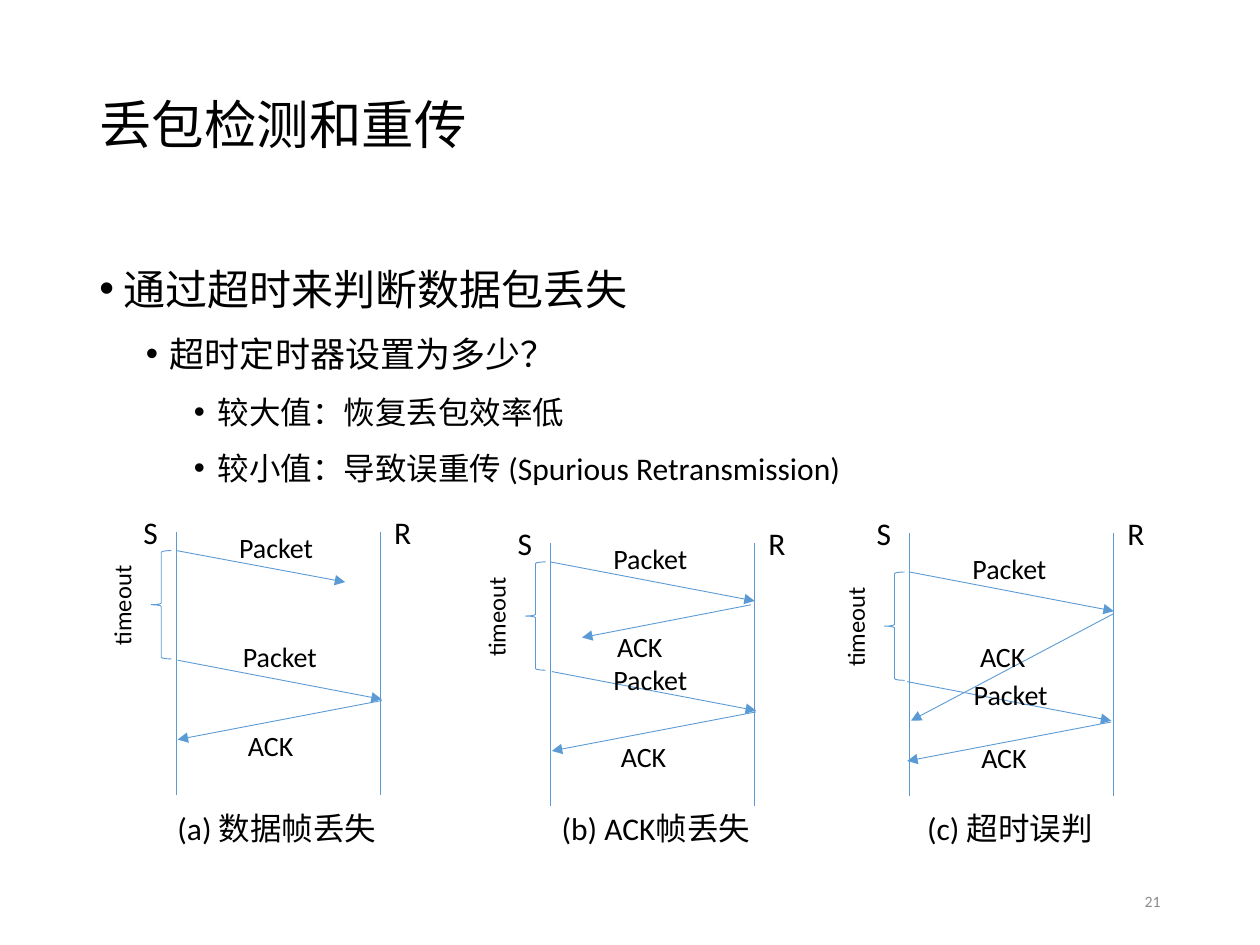
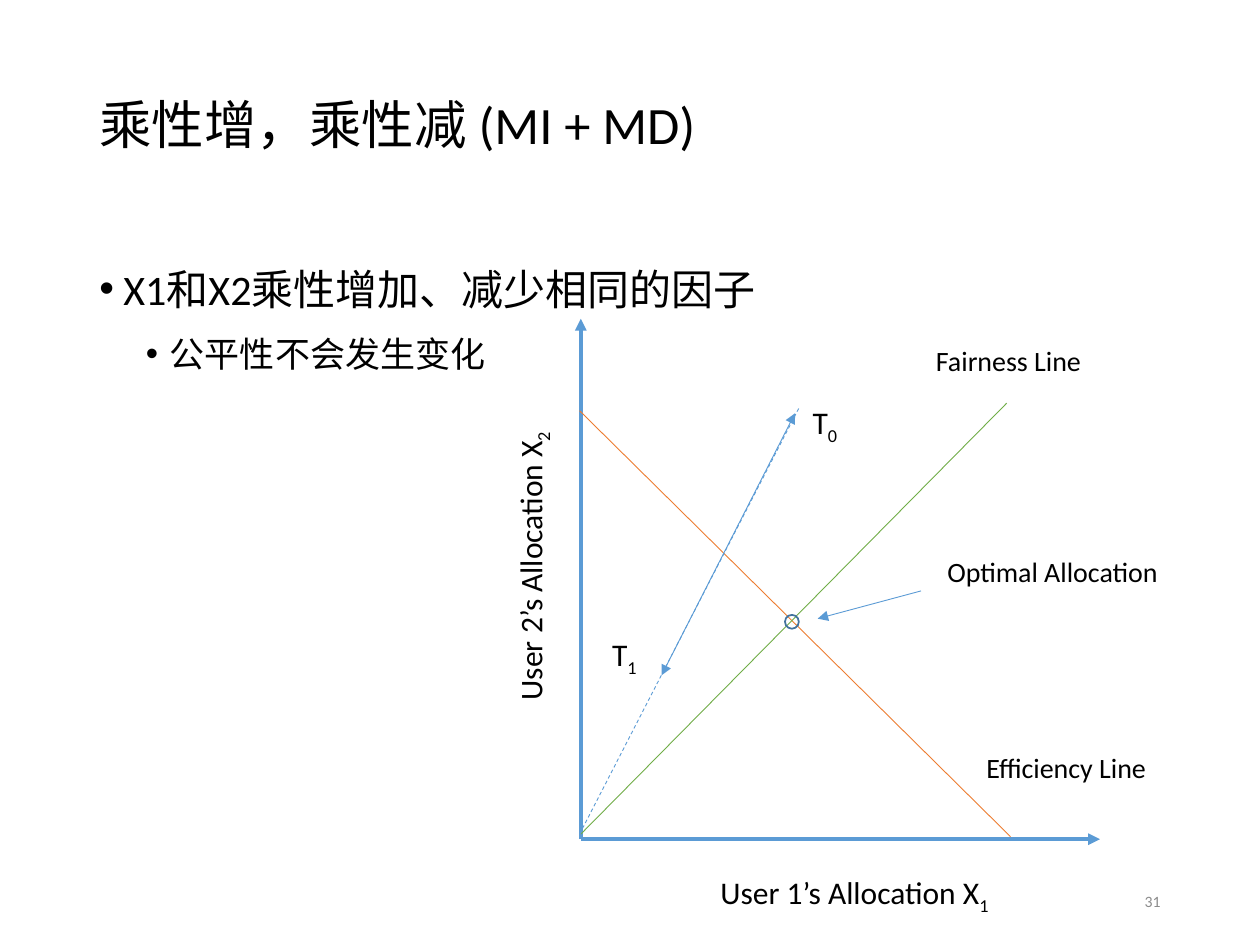
from lxml import etree
from pptx import Presentation
from pptx.dml.color import RGBColor
from pptx.enum import dml, shapes, text
from pptx.oxml.ns import qn
from pptx.util import Inches, Pt

FONT = "Calibri"
COLORS = {
    "text": "000000",
    "page number": "8C8C8C",
    "blue": "5B9BD5",
    "dark blue": "43739E",
    "efficiency": "ED7D31",
    "fairness": "70AD47",
}
# One entry per outline level: left margin, size, space before
LEVELS = [(0.19, 24, 7.5), (0.56, 20, 3.8), (0.94, 18, 3.8)]
HANGING = 0.19

# Sequence diagram measures
LANE_GAP = 1.62
LANE_LENGTH = 2.09
SLOPE = 0.31
TIMEOUT = 0.86


def rgb(name):
    return RGBColor.from_string(COLORS[name])


def add_span(para, words, size, color="text", subscript=False):
    span = para.add_run()
    span.text = words
    span.font.name = FONT
    span.font.size = Pt(size)
    span.font.color.rgb = rgb(color)
    if subscript:
        span._r.get_or_add_rPr().set("baseline", "-25000")


def add_box(page, left, top, width, height):
    box = page.shapes.add_textbox(
        Inches(left), Inches(top), Inches(width), Inches(height))
    box.text_frame.word_wrap = True
    return box


def add_label(page, words, left, top, width, size,
              subscript="", rotation=0, wrap=False):
    """One-line label whose height follows its text size."""
    height = {18: 0.4, 16: 0.37, 14: 0.34}[size]
    box = add_box(page, left, top, width, height)
    box.rotation = rotation
    box.text_frame.word_wrap = wrap
    box.text_frame.auto_size = text.MSO_AUTO_SIZE.SHAPE_TO_FIT_TEXT
    para = box.text_frame.paragraphs[0]
    add_span(para, words, size)
    if subscript:
        add_span(para, subscript, size, subscript=True)


def add_line(page, start, end, color="blue", width=0.5,
             head=False, tail=False, dashed=False):
    line = page.shapes.add_connector(
        shapes.MSO_CONNECTOR.STRAIGHT, *map(Inches, (*start, *end)))
    line.line.color.rgb = rgb(color)
    line.line.width = Pt(width)
    if dashed:
        line.line.dash_style = dml.MSO_LINE.DASH
    outline = line.line._get_or_add_ln()
    for tag, wanted in (("a:headEnd", head), ("a:tailEnd", tail)):
        if wanted:
            etree.SubElement(outline, qn(tag)).set("type", "triangle")
    etree.SubElement(line._element.spPr, qn("a:effectLst"))


def add_outline(page, kind, left, top, width, height, color, weight):
    """Unfilled preset shape."""
    shape = page.shapes.add_shape(
        kind, Inches(left), Inches(top), Inches(width), Inches(height))
    shape.shadow.inherit = False
    shape.fill.background()
    shape.line.color.rgb = rgb(color)
    shape.line.width = Pt(weight)


def add_bullets(page, height, items):
    frame = add_box(page, 0.69, 1.92, 8.62, height).text_frame
    for index, (level, words) in enumerate(items):
        margin, size, before = LEVELS[level]
        para = frame.add_paragraph() if index else frame.paragraphs[0]
        para.level = level
        props = para._p.get_or_add_pPr()
        props.set("marL", str(Inches(margin)))
        props.set("indent", str(-Inches(HANGING)))
        etree.SubElement(props, qn("a:buFont")).set("typeface", "Arial")
        etree.SubElement(props, qn("a:buChar")).set("char", "•")
        para.line_spacing = 1.3
        if index:
            para.space_before = Pt(before)
        add_span(para, words, size)


def add_page(deck, title, number):
    """Blank page with the shared title and page number."""
    page = deck.slides.add_slide(deck.slide_layouts[6])
    frame = add_box(page, 0.69, 0.4, 8.62, 1.23).text_frame
    frame.vertical_anchor = text.MSO_ANCHOR.MIDDLE
    frame.paragraphs[0].line_spacing = 0.9
    add_span(frame.paragraphs[0], title, 30)

    frame = add_box(page, 7.06, 6.95, 2.25, 0.4).text_frame
    frame.vertical_anchor = text.MSO_ANCHOR.MIDDLE
    frame.paragraphs[0].alignment = text.PP_ALIGN.RIGHT
    add_span(frame.paragraphs[0], str(number), 9, "page number")
    return page


def add_exchange(page, left, top, send, first_end, resend_shift,
                 resend_label, ack_label, lost_ack=None):
    """Sender and receiver lanes; messages are placed from the send time."""
    def arrow(start, end):
        add_line(page, (left + start[0], send + start[1]),
                 (left + end[0], send + end[1]), tail=True)

    def message(words, x, y):
        width = {"Packet": 0.8, "ACK": 0.57}[words]
        add_label(page, words, left + x, send + y, width, 16)

    # Lanes
    for x in (left, left + LANE_GAP):
        add_line(page, (x, top), (x, top + LANE_LENGTH))
    add_label(page, "S", left - 0.36, top - 0.2, 0.32, 18)
    add_label(page, "R", left + 1.63, top - 0.2, 0.34, 18)

    # Timeout
    add_outline(page, shapes.MSO_SHAPE.LEFT_BRACE,
                left - 0.2, send, 0.16, TIMEOUT, "blue", 0.5)
    add_label(page, "timeout", left - 0.85, send + 0.26, 0.84, 14,
              rotation=270)

    # First packet, and its acknowledgement if there is one
    arrow((0, 0), first_end)
    message("Packet", 0.4, -0.21)
    if lost_ack:
        start, end, label = lost_ack
        arrow(start, end)
        message("ACK", *label)

    # Retransmission and its acknowledgement
    near, far = resend_shift, resend_shift + LANE_GAP
    arrow((near, 0.87), (far, 0.87 + SLOPE))
    arrow((far, 1.19), (near, 1.19 + SLOPE))
    message("Packet", *resend_label)
    message("ACK", *ack_label)


def build_loss_page(deck):
    page = add_page(deck, "丢包检测和重传", 21)
    add_bullets(page, 2.02, [
        (0, "通过超时来判断数据包丢失"),
        (1, "超时定时器设置为多少？"),
        (2, "较大值：恢复丢包效率低"),
        (2, "较小值：导致误重传 (Spurious Retransmission)"),
    ])
    # Data frame lost, ACK lost, premature timeout
    add_exchange(page, 1.4, 4.22, 4.37, (1.34, 0.25), 0.01,
                 (0.43, 0.66), (0.47, 1.36))
    add_exchange(page, 4.37, 4.31, 4.46, (LANE_GAP, SLOPE), 0.01,
                 (0.4, 0.75), (0.46, 1.36),
                 ((1.59, 0.34), (0.25, 0.6), (0.43, 0.49)))
    add_exchange(page, 7.22, 4.23, 4.54, (LANE_GAP, SLOPE), -0.02,
                 (0.41, 0.79), (0.47, 1.29),
                 ((LANE_GAP, 0.33), (0.01, 1.18), (0.46, 0.49)))
    for words, left, width in (("(a) 数据帧丢失", 1.31, 1.81),
                               ("(b) ACK帧丢失", 4.36, 1.7),
                               ("(c) 超时误判", 7.26, 1.53)):
        add_label(page, words, left, 6.37, width, 18, wrap=True)


def build_fairness_page(deck):
    page = add_page(deck, "乘性增，乘性减 (MI + MD)", 31)
    add_bullets(page, 4.84, [
        (0, "X1和X2乘性增加、减少相同的因子"),
        (1, "公平性不会发生变化"),
    ])
    # Axes
    origin = (4.61, 6.66)
    for end in ((8.73, 6.66), (4.61, 2.53)):
        add_line(page, origin, end, width=2.25, tail=True)
    add_label(page, "User 1’s Allocation X", 5.62, 6.88, 2.47, 18, "1")
    add_label(page, "User 2’s Allocation X", 2.95, 4.2, 2.51, 18, "2",
              rotation=270)

    # Efficiency and fairness lines, with the optimum where they cross
    add_line(page, (4.6, 3.26), (8.02, 6.64), "efficiency")
    add_line(page, (4.61, 6.62), (7.99, 3.2), "fairness")
    add_outline(page, shapes.MSO_SHAPE.OVAL,
                6.23, 4.88, 0.11, 0.11, "dark blue", 1)
    for words, left, top, width in (
            ("Fairness Line", 7.33, 2.68, 1.37),
            ("Efficiency Line", 7.73, 5.91, 1.49),
            ("Optimal Allocation", 7.42, 4.35, 1.89)):
        add_label(page, words, left, top, width, 16)
    add_line(page, (7.31, 4.69), (6.49, 4.91), tail=True)

    # Movement between T0 and T1 along a ray from the origin
    add_line(page, (4.6, 6.62), (6.34, 3.24), dashed=True)
    add_line(page, (5.25, 5.36), (6.31, 3.28), head=True, tail=True)
    add_label(page, "T", 6.35, 3.15, 0.41, 18, "0")
    add_label(page, "T", 4.76, 4.99, 0.41, 18, "1")


def main():
    deck = Presentation()
    deck.slide_width, deck.slide_height = Inches(10), Inches(7.5)
    build_loss_page(deck)
    build_fairness_page(deck)
    deck.save("out.pptx")


if __name__ == "__main__":
    main()
